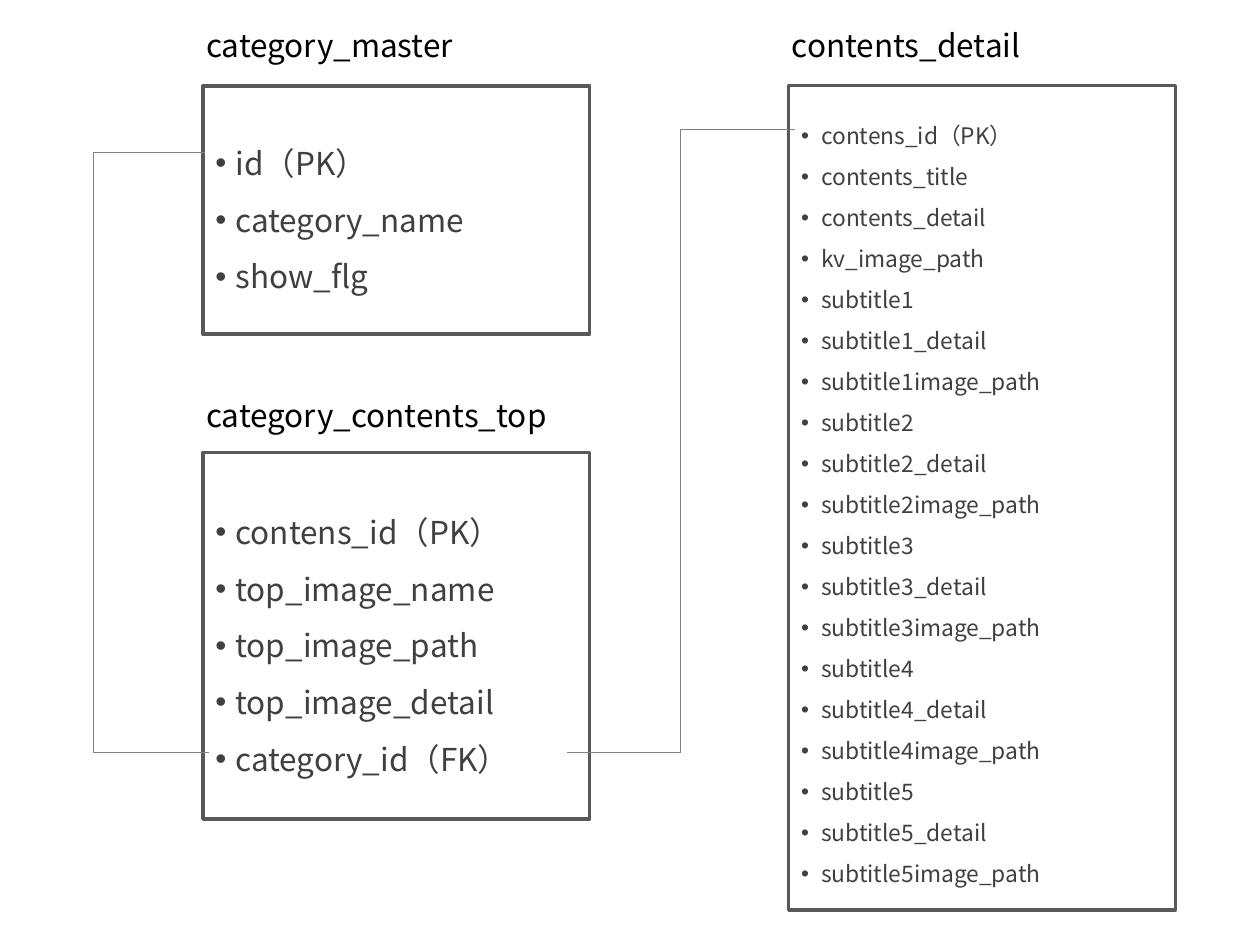
"""Draw three database tables and the key links between them."""
from dataclasses import dataclass

from lxml.etree import SubElement
from pptx import Presentation
from pptx.dml.color import RGBColor
from pptx.enum.shapes import MSO_CONNECTOR, MSO_SHAPE
from pptx.enum.text import MSO_ANCHOR, MSO_AUTO_SIZE, PP_ALIGN
from pptx.oxml.ns import qn
from pptx.util import Pt


@dataclass(frozen=True)
class Theme:
    font: str = "Noto Sans CJK JP"
    title: str = "000000"
    body: str = "404040"
    fill: str = "FFFFFF"
    edge: str = "595959"
    link: str = "808080"
    large: float = 18
    small: float = 13


def write(para, text, font, size, color, bullet=False):
    run = para.add_run()
    run.text = text
    run.font.name = font
    run.font.size = Pt(size)
    run.font.color.rgb = RGBColor.from_string(color)
    SubElement(run.font._element, qn("a:ea"), typeface=font)
    para.alignment = PP_ALIGN.LEFT
    if bullet:
        para.line_spacing = 1.5
        props = para._p.get_or_add_pPr()
        props.set("marL", str(Pt(11.5)))
        props.set("indent", str(-Pt(11.5)))
        SubElement(props, qn("a:buFont"), typeface="Arial")
        SubElement(props, qn("a:buChar"), char="•")


class Chart:
    def __init__(self, slide, theme):
        self.slide = slide
        self.theme = theme

    def title(self, text, left, top):
        box = self.slide.shapes.add_textbox(Pt(left), Pt(top), Pt(249), Pt(29))
        frame = box.text_frame
        frame.word_wrap = True
        frame.auto_size = MSO_AUTO_SIZE.SHAPE_TO_FIT_TEXT
        write(frame.paragraphs[0], text, self.theme.font, self.theme.large, self.theme.title)

    def table(self, name, fields, left, top, height, size, gap=37.5):
        theme = self.theme
        box = self.slide.shapes.add_shape(
            MSO_SHAPE.RECTANGLE, Pt(left), Pt(top), Pt(221), Pt(height))
        box.shadow.inherit = False
        box.fill.solid()
        box.fill.fore_color.rgb = RGBColor.from_string(theme.fill)
        box.line.color.rgb = RGBColor.from_string(theme.edge)
        box.line.width = Pt(2)
        frame = box.text_frame
        frame.word_wrap = True
        frame.vertical_anchor = MSO_ANCHOR.MIDDLE
        for i, field in enumerate(fields):
            para = frame.add_paragraph() if i else frame.paragraphs[0]
            write(para, field, theme.font, size, theme.body, bullet=True)
        self.title(name, left - 5.3, top - gap)

    def link(self, start, end, bend):
        line = self.slide.shapes.add_connector(
            MSO_CONNECTOR.ELBOW, *map(Pt, start), *map(Pt, end))
        line.line.color.rgb = RGBColor.from_string(self.theme.link)
        line.line.width = Pt(0.75)
        props = line._element.spPr
        SubElement(props, qn("a:effectLst"))
        ratio = (bend - start[0]) / (end[0] - start[0])
        guides = props.find(qn("a:prstGeom")).find(qn("a:avLst"))
        SubElement(guides, qn("a:gd"), name="adj1", fmla=f"val {round(ratio * 100000)}")


def main():
    deck = Presentation()
    deck.slide_width, deck.slide_height = Pt(720), Pt(540)
    theme = Theme()
    chart = Chart(deck.slides.add_slide(deck.slide_layouts[6]), theme)
    left, right, top = 116, 450.7, 49
    parts = [f"subtitle{n}{end}" for n in range(1, 6)
             for end in ("", "_detail", "image_path")]
    chart.table("category_master", ["id（PK）", "category_name", "show_flg"],
                left, top, 142, theme.large)
    chart.table("category_contents_top",
                ["contens_id（PK）", "top_image_name", "top_image_path",
                 "top_image_detail", "category_id（FK）"],
                left, 258.5, 209.5, theme.large, gap=36)
    chart.table("contents_detail",
                ["contens_id（PK）", "contents_title", "contents_detail",
                 "kv_image_path", *parts],
                right, top, 471, theme.small)
    chart.link((117.4, 87.3), (119.5, 430), bend=53.5)
    chart.link((454.3, 74.2), (324, 430), bend=389)
    deck.save("out.pptx")


main()
